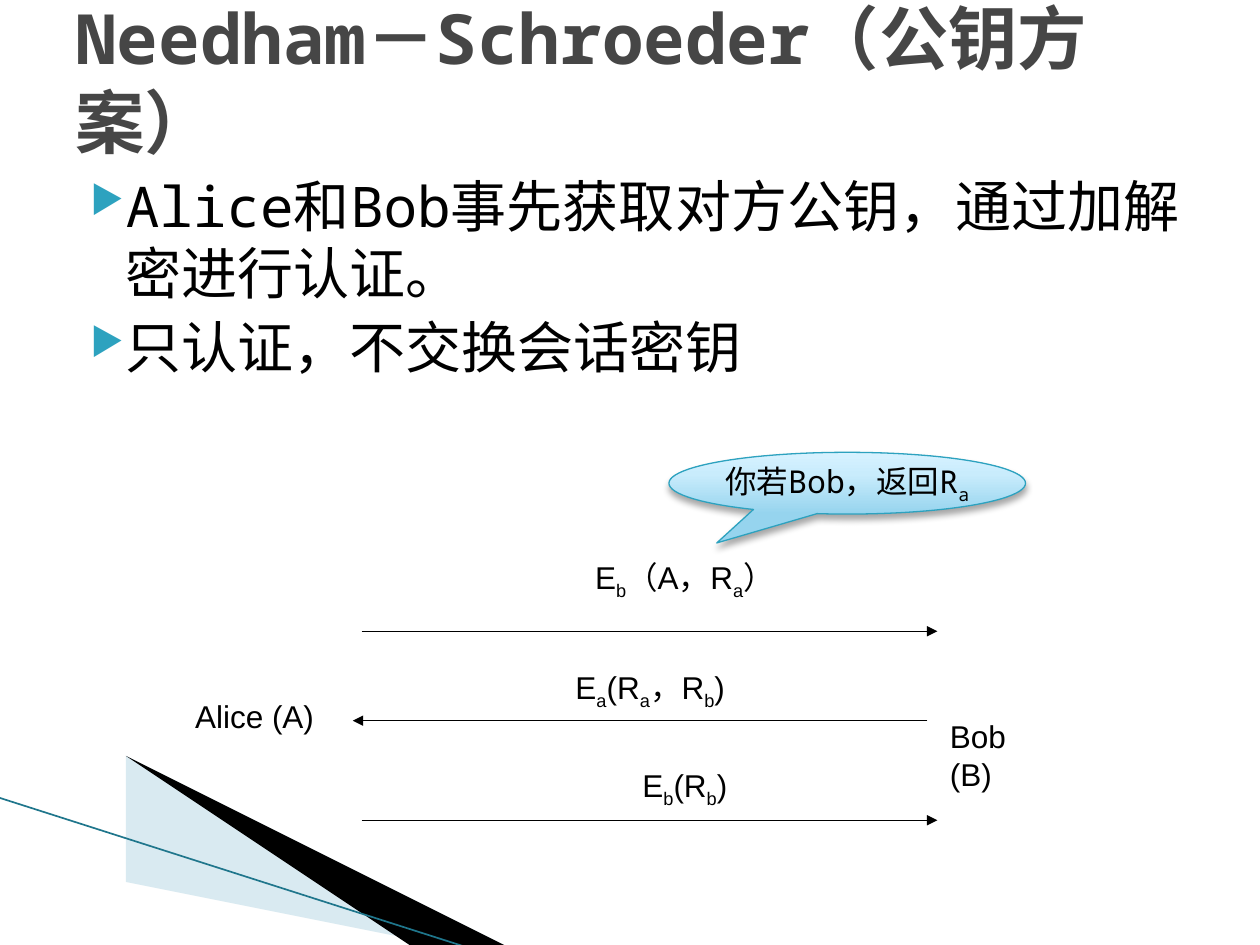
from copy import deepcopy

from lxml.etree import SubElement
from pptx import Presentation
from pptx.dml.color import RGBColor
from pptx.enum.shapes import MSO_CONNECTOR as LINE, MSO_SHAPE as SHAPE
from pptx.enum.text import MSO_ANCHOR as ANCHOR, MSO_AUTO_SIZE as FIT, PP_ALIGN as ALIGN
from pptx.oxml.ns import qn
from pptx.util import Inches, Pt

BLACK = RGBColor(0x00, 0x00, 0x00)
GREY = RGBColor(0x46, 0x46, 0x46)
TEAL = RGBColor(0x2D, 0xA2, 0xBF)
DARK_TEAL = RGBColor(0x1F, 0x76, 0x8C)
PALE_BLUE = RGBColor(0xA0, 0xCB, 0xDC)
CALLOUT_STOPS = [
    (0, RGBColor(0x96, 0xD4, 0xEE)),
    (0.65, RGBColor(0xC9, 0xEC, 0xFC)),
    (1, RGBColor(0xD7, 0xF2, 0xFF)),
]
SANS, MONO = "Arial", "Noto Sans Mono"


class SlideBuilder:
    def __init__(self, page):
        self.page = page

    def style(self, para, size, font, color=BLACK, bold=False):
        para.font.size = Pt(size)
        para.font.name = font
        para.font.color.rgb = color
        para.font.bold = bold

    def formula(self, para, text):
        """Write text in which an underscore turns the next letter into a subscript."""
        first, *rest = text.split("_")
        para.add_run().text = first
        for part in rest:
            sub = para.add_run()
            sub.text = part[0]
            sub._r.get_or_add_rPr().set("baseline", "-25000")
            if part[1:]:
                para.add_run().text = part[1:]

    def text_box(self, left, top, width, height):
        box = self.page.shapes.add_textbox(*map(Inches, (left, top, width, height)))
        box.text_frame.word_wrap = True
        return box.text_frame

    def title(self, text):
        frame = self.text_box(0.5, 0, 9, 1.25)
        frame.vertical_anchor = ANCHOR.MIDDLE
        para = frame.paragraphs[0]
        para.text = text
        self.style(para, 39.6, MONO, GREY, bold=True)

    def bullets(self, items):
        frame = self.text_box(0.5, 1.31, 9, 5.26)
        for index, item in enumerate(items):
            para = frame.add_paragraph() if index else frame.paragraphs[0]
            para.text = item
            props = para._p.get_or_add_pPr()
            props.set("marL", str(Inches(0.4)))
            props.set("indent", str(Inches(-0.28)))
            if index:
                para.space_before = Pt(4)
            color = SubElement(props, qn("a:buClr"))
            SubElement(color, qn("a:srgbClr"), val=str(TEAL))
            SubElement(props, qn("a:buSzPct"), val="68000")
            SubElement(props, qn("a:buChar"), char="▶")
            self.style(para, 32, MONO)

    def label(self, left, top, width, text, align=ALIGN.LEFT):
        frame = self.text_box(left, top, width, 0.4)
        frame.auto_size = FIT.SHAPE_TO_FIT_TEXT
        para = frame.paragraphs[0]
        para.alignment = align
        self.formula(para, text)
        self.style(para, 18, SANS)

    def line(self, start, end, color=BLACK, width=0.75, arrow=False):
        line = self.page.shapes.add_connector(LINE.STRAIGHT, *map(Inches, start + end))
        line.line.color.rgb = color
        line.line.width = Pt(width)
        if arrow:
            SubElement(line.line._get_or_add_ln(), qn("a:tailEnd"), type="triangle")
        SubElement(line._element.spPr, qn("a:effectLst"))

    def wedge(self, points, color, opacity=100):
        start, *others = points
        outline = self.page.shapes.build_freeform(*start, scale=Inches(1))
        outline.add_line_segments(others, close=True)
        shape = outline.convert_to_shape()
        shape.shadow.inherit = False
        shape.line.fill.background()
        shape.fill.solid()
        shape.fill.fore_color.rgb = color
        if opacity < 100:
            value = shape._element.spPr.find(qn("a:solidFill")).find(qn("a:srgbClr"))
            SubElement(value, qn("a:alpha"), val=str(opacity * 1000))

    def callout(self, left, top, width, height, text):
        bubble = self.page.shapes.add_shape(
            SHAPE.OVAL_CALLOUT, *map(Inches, (left, top, width, height)))
        bubble.adjustments[0] = -0.366
        bubble.adjustments[1] = 0.967
        bubble.line.color.rgb = TEAL
        bubble.line.width = Pt(0.75)

        bubble.fill.gradient()
        bubble.fill.gradient_angle = 90
        props = bubble._element.spPr
        stop_list = props.find(qn("a:gradFill")).find(qn("a:gsLst"))
        stop_list.append(deepcopy(stop_list[0]))
        for stop, (position, color) in zip(bubble.fill.gradient_stops, CALLOUT_STOPS):
            stop.position = position
            stop.color.rgb = color

        bubble.shadow.inherit = False
        shadow = SubElement(props.find(qn("a:effectLst")), qn("a:outerShdw"),
                            blurRad=str(Pt(4)), dist=str(Pt(3)), dir="5400000",
                            rotWithShape="0")
        value = SubElement(shadow, qn("a:srgbClr"), val=str(BLACK))
        SubElement(value, qn("a:alpha"), val="35000")

        frame = bubble.text_frame
        frame.word_wrap = True
        frame.margin_left = frame.margin_right = 0
        frame.vertical_anchor = ANCHOR.MIDDLE
        para = frame.paragraphs[0]
        para.alignment = ALIGN.CENTER
        self.formula(para, text)
        self.style(para, 18, MONO)


def main():
    deck = Presentation()
    deck.slide_width, deck.slide_height = Inches(10), Inches(7.5)
    slide = SlideBuilder(deck.slides.add_slide(deck.slide_layouts[6]))

    slide.wedge([(0.55, 6.51), (5.95, 7.51), (4.56, 7.51), (0.55, 6.5)], PALE_BLUE, 40)
    slide.wedge([(0.53, 6.49), (4.57, 7.51), (3.72, 7.52), (0.54, 6.5)], BLACK)
    slide.line((-0.01, 6.33), (3.71, 7.52), DARK_TEAL, 0.95)

    slide.bullets(["Alice和Bob事先获取对方公钥，通过加解密进行认证。", "只认证，不交换会话密钥"])
    slide.title("Needham－Schroeder（公钥方案）")

    slide.label(1.45, 5.48, 1.26, "Alice (A)")
    slide.label(7.44, 5.64, 1.02, "Bob (B)")

    # Each message: arrow start x, end x and y, then label left, top, width and text
    messages = [
        (2.87, 7.44, 5.01, 3.74, 4.38, 3.39, "E_b（A，R_a）"),
        (7.36, 2.8, 5.72, 3.27, 5.25, 3.78, "E_a(R_a，R_b)"),
        (2.87, 7.44, 6.51, 3.74, 6.03, 3.39, "E_b(R_b)"),
    ]
    for start, end, y, left, top, width, text in messages:
        slide.line((start, y), (end, y), arrow=True)
        slide.label(left, top, width, text, ALIGN.CENTER)

    slide.callout(5.31, 3.59, 2.83, 0.49, "你若Bob，返回R_a")
    deck.save("out.pptx")


if __name__ == "__main__":
    main()
